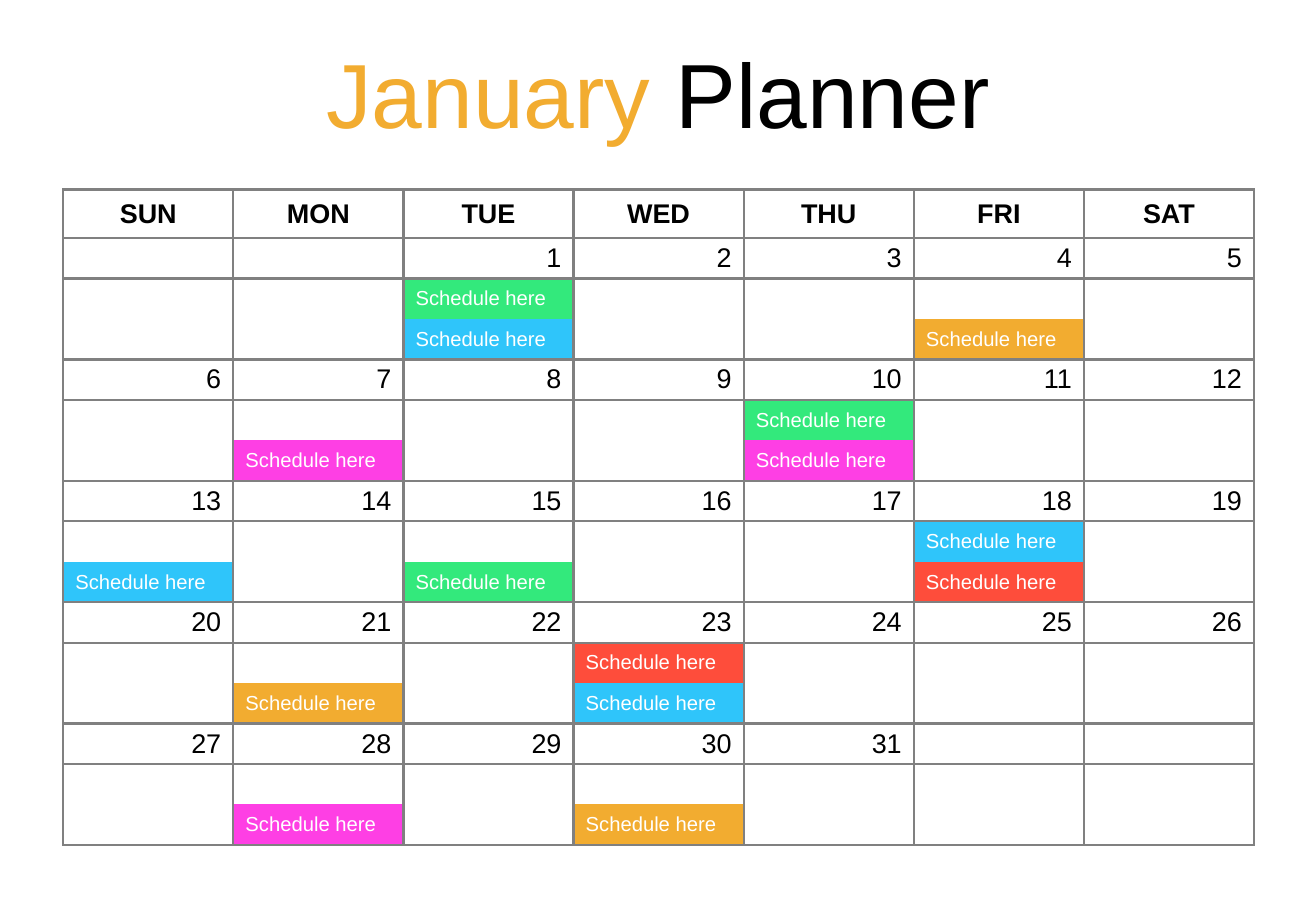
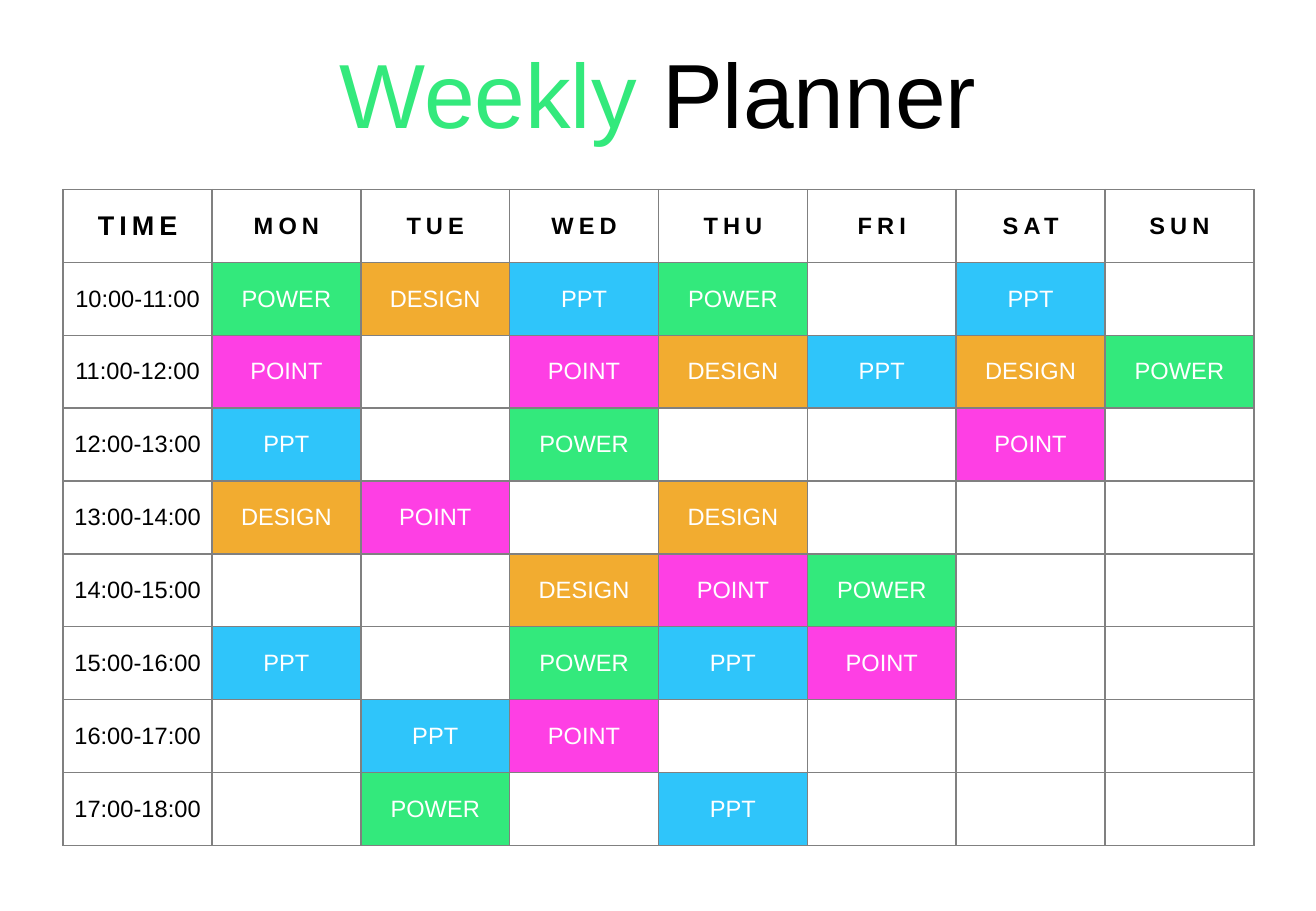
from dataclasses import dataclass

import pptx
import pptx.dml.color
import pptx.enum.text
import pptx.oxml
import pptx.oxml.ns
import pptx.util

PX_PER_INCH = 100
ALIGN = pptx.enum.text.PP_ALIGN
MIDDLE = pptx.enum.text.MSO_ANCHOR.MIDDLE


@dataclass(frozen=True)
class Theme:
    font: str = "Arial"
    black: str = "000000"
    white: str = "FFFFFF"
    grid: str = "808080"
    amber: str = "F2AC30"
    green: str = "33E97C"
    blue: str = "2FC5FA"
    magenta: str = "FE3FE4"
    red: str = "FE4D3B"
    title_size: int = 54
    large_size: int = 16
    medium_size: int = 14
    small_size: int = 12


THEME = Theme()
SLIDE_SIZE = (1083, 750)
TITLE_BOX = (0, 25, 1083, 101)
TABLE_BOX = (52, 156, 980, 540)

MONTH_DAYS = ("SUN", "MON", "TUE", "WED", "THU", "FRI", "SAT")
MONTH_START, MONTH_LENGTH, MONTH_WEEKS = 2, 31, 5
EVENT_TEXT = "Schedule here"
EVENTS = {
    1: (THEME.green, THEME.blue),
    4: (None, THEME.amber),
    7: (None, THEME.magenta),
    10: (THEME.green, THEME.magenta),
    13: (None, THEME.blue),
    15: (None, THEME.green),
    18: (THEME.blue, THEME.red),
    21: (None, THEME.amber),
    23: (THEME.red, THEME.blue),
    28: (None, THEME.magenta),
    30: (None, THEME.amber),
}

WEEK_HEADER = ("TIME", "MON", "TUE", "WED", "THU", "FRI", "SAT", "SUN")
FIRST_HOUR = 10
SUBJECT_COLORS = {
    "POWER": THEME.green,
    "POINT": THEME.magenta,
    "DESIGN": THEME.amber,
    "PPT": THEME.blue,
}
WEEK_SUBJECTS = (
    ("POWER", "DESIGN", "PPT", "POWER", "", "PPT", ""),
    ("POINT", "", "POINT", "DESIGN", "PPT", "DESIGN", "POWER"),
    ("PPT", "", "POWER", "", "", "POINT", ""),
    ("DESIGN", "POINT", "", "DESIGN", "", "", ""),
    ("", "", "DESIGN", "POINT", "POWER", "", ""),
    ("PPT", "", "POWER", "PPT", "POINT", "", ""),
    ("", "PPT", "POINT", "", "", "", ""),
    ("", "POWER", "", "PPT", "", "", ""),
)


def px(length):
    return pptx.util.Emu(length * 914400 // PX_PER_INCH)


def rgb(color):
    return pptx.dml.color.RGBColor.from_string(color)


def set_font(font, size, color, bold=False):
    font.name = THEME.font
    font.size = pptx.util.Pt(size)
    font.bold = bold
    font.color.rgb = rgb(color)


def set_borders(cell, width, hidden=""):
    properties = cell._tc.get_or_add_tcPr()
    for side in "LRTB":
        paint = (
            "<a:noFill/>" if side in hidden
            else f'<a:solidFill><a:srgbClr val="{THEME.grid}"/></a:solidFill>'
        )
        properties.append(pptx.oxml.parse_xml(
            f'<a:ln{side} {pptx.oxml.ns.nsdecls("a")} '
            f'w="{pptx.util.Pt(width)}">{paint}</a:ln{side}>'
        ))


def fill_cell(cell, text="", size=THEME.small_size, color=THEME.black,
              fill=THEME.white, align=ALIGN.CENTER, bold=False, inset=0,
              border=1, hidden="", spacing=0):
    set_borders(cell, border, hidden)
    cell.fill.solid()
    cell.fill.fore_color.rgb = rgb(fill)
    cell.margin_left = cell.margin_right = px(inset)
    cell.margin_top = cell.margin_bottom = 0
    cell.vertical_anchor = MIDDLE
    cell.text = text
    paragraph = cell.text_frame.paragraphs[0]
    paragraph.alignment = align
    set_font(paragraph.font, size, color, bold)
    if spacing:
        paragraph.runs[0]._r.get_or_add_rPr().set("spc", str(spacing * 100))


def add_title(slide, box, accent_word, accent):
    title = slide.shapes.title
    title.left, title.top, title.width, title.height = map(px, box)
    frame = title.text_frame
    frame.word_wrap = True
    frame.auto_size = pptx.enum.text.MSO_AUTO_SIZE.NONE
    frame.vertical_anchor = MIDDLE
    paragraph = frame.paragraphs[0]
    paragraph.alignment = ALIGN.CENTER
    for text, color in ((accent_word, accent), (" Planner", THEME.black)):
        run = paragraph.add_run()
        run.text = text
        set_font(run.font, THEME.title_size, color)


def add_grid(slide, box, row_count, column_count, header_height):
    left, top, width, height = map(px, box)
    table = slide.shapes.add_table(
        row_count, column_count, left, top, width, height).table
    table.horz_banding = False
    for column in table.columns:
        column.width = width // column_count
    for row in table.rows:
        row.height = (height - header_height) // (row_count - 1)
    table.rows[0].height = header_height
    return table


def add_month_table(slide, box):
    table = add_grid(slide, box, 1 + 3 * MONTH_WEEKS, len(MONTH_DAYS), px(40))
    for column, name in enumerate(MONTH_DAYS):
        fill_cell(table.cell(0, column), name, THEME.large_size,
                  bold=True, border=1.5)
    for position in range(MONTH_WEEKS * len(MONTH_DAYS)):
        week, column = divmod(position, len(MONTH_DAYS))
        day = position - MONTH_START + 1
        date_row = 1 + 3 * week
        label = str(day) if 1 <= day <= MONTH_LENGTH else ""
        fill_cell(table.cell(date_row, column), label, THEME.large_size,
                  align=ALIGN.RIGHT, inset=10, border=1.5)
        for slot, color in enumerate(EVENTS.get(day, (None, None))):
            fill_cell(table.cell(date_row + 1 + slot, column),
                      EVENT_TEXT if color else "", color=THEME.white,
                      fill=color or THEME.white, align=ALIGN.LEFT, inset=10,
                      border=1.5, hidden="BT"[slot])


def add_week_table(slide, box):
    row_count = 1 + len(WEEK_SUBJECTS)
    table = add_grid(slide, box, row_count, len(WEEK_HEADER),
                     px(box[3]) // row_count)
    for column, name in enumerate(WEEK_HEADER):
        size = THEME.medium_size if column else THEME.large_size
        fill_cell(table.cell(0, column), name, size, bold=True, spacing=3)
    for row, subjects in enumerate(WEEK_SUBJECTS, 1):
        hour = FIRST_HOUR + row - 1
        fill_cell(table.cell(row, 0), f"{hour}:00-{hour + 1}:00",
                  THEME.medium_size)
        for column, subject in enumerate(subjects, 1):
            fill_cell(table.cell(row, column), subject, THEME.medium_size,
                      THEME.white, SUBJECT_COLORS.get(subject, THEME.white))


def main():
    presentation = pptx.Presentation()
    presentation.slide_width, presentation.slide_height = map(px, SLIDE_SIZE)
    pages = (
        ("January", THEME.amber, add_month_table),
        ("Weekly", THEME.green, add_week_table),
    )
    for accent_word, accent, add_table in pages:
        slide = presentation.slides.add_slide(presentation.slide_layouts[5])
        add_title(slide, TITLE_BOX, accent_word, accent)
        add_table(slide, TABLE_BOX)
    presentation.save("out.pptx")


if __name__ == "__main__":
    main()
